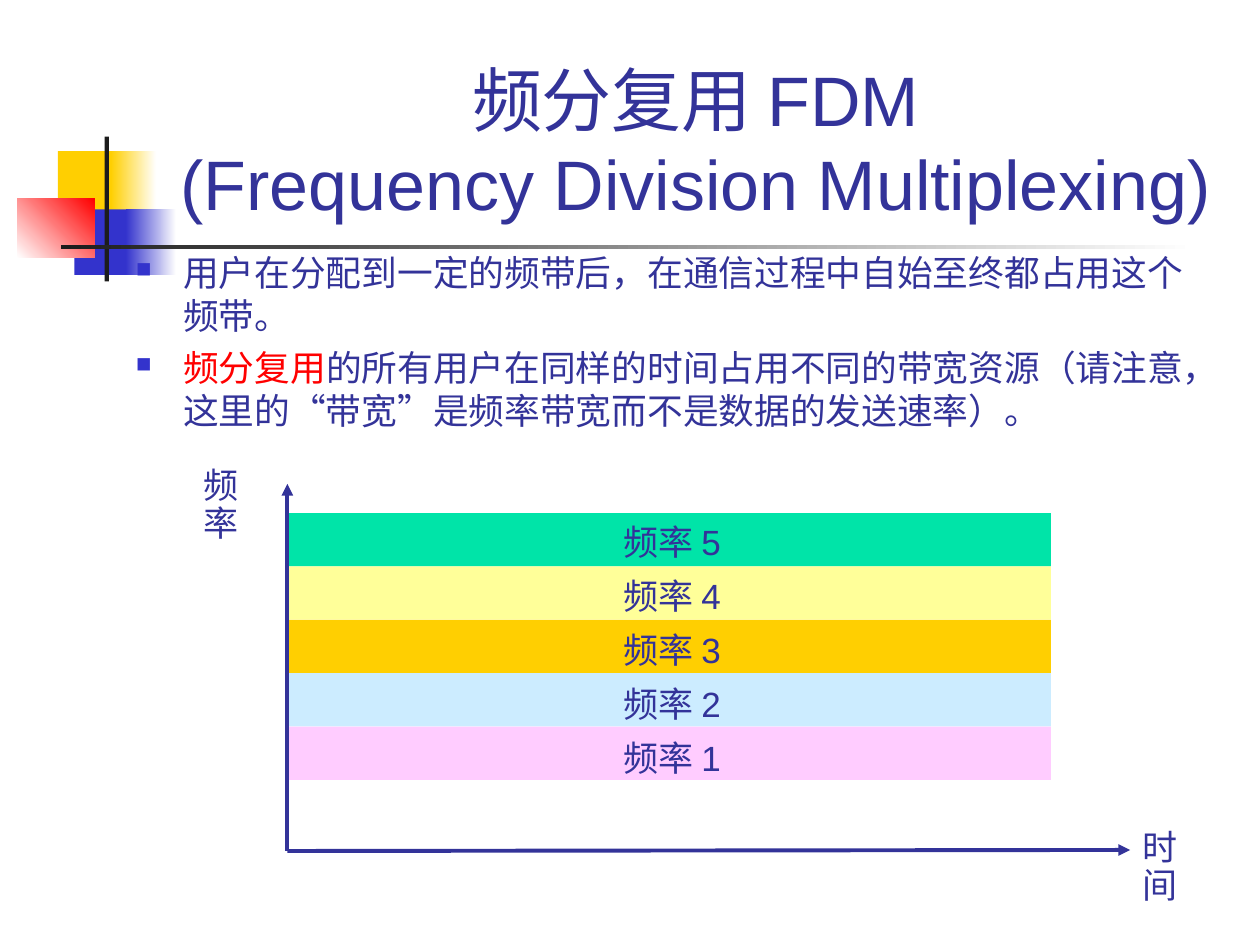
from typing import NamedTuple, Optional

from lxml import etree
from pptx import Presentation
from pptx.dml.color import RGBColor
from pptx.enum.shapes import MSO_CONNECTOR, MSO_SHAPE
from pptx.enum.text import MSO_ANCHOR, PP_ALIGN
from pptx.oxml.ns import qn
from pptx.util import Pt

RECTANGLE = MSO_SHAPE.RECTANGLE
STRAIGHT = MSO_CONNECTOR.STRAIGHT
BOTTOM = MSO_ANCHOR.BOTTOM
CENTER = PP_ALIGN.CENTER

COLORS = {
    "text": "333399",
    "highlight": "FF0000",
    "gold": "FFCF01",
    "blue": "3333CC",
    "black": "1C1C1C",
    "white": "FFFFFF",
    "green": "00E4A8",
    "yellow": "FFFF99",
    "sky": "CCECFF",
    "pink": "FFCCFF",
}


class Block(NamedTuple):
    left: float
    top: float
    width: float
    height: float
    color: str
    fade_to: Optional[str] = None
    angle: float = 0


class Label(NamedTuple):
    text: str
    left: float
    top: float
    width: float
    font: str


class Axis(NamedTuple):
    start: tuple[float, float]
    end: tuple[float, float]


def rgb(name: str) -> RGBColor:
    return RGBColor.from_string(COLORS[name])


def draw_block(slide, block: Block) -> None:
    shape = slide.shapes.add_shape(
        RECTANGLE, Pt(block.left), Pt(block.top), Pt(block.width), Pt(block.height)
    )
    shape.shadow.inherit = False
    shape.line.fill.background()
    if block.fade_to is None:
        shape.fill.solid()
        shape.fill.fore_color.rgb = rgb(block.color)
        return
    shape.fill.gradient()
    shape.fill.gradient_angle = block.angle
    for stop, color in zip(shape.fill.gradient_stops, (block.color, block.fade_to)):
        stop.color.rgb = rgb(color)


def add_frame(slide, left: float, top: float, width: float, height: float, wrap: bool):
    box = slide.shapes.add_textbox(Pt(left), Pt(top), Pt(width), Pt(height))
    box.text_frame.word_wrap = wrap
    return box.text_frame


def style(paragraph, size: float, font: str) -> None:
    paragraph.font.size = Pt(size)
    paragraph.font.name = font
    paragraph.font.color.rgb = rgb("text")


def draw_label(slide, label: Label) -> None:
    frame = add_frame(slide, label.left, label.top, label.width, 28.8, False)
    paragraph = frame.paragraphs[0]
    paragraph.text = label.text
    paragraph.line_spacing = 0.9
    style(paragraph, 20, label.font)


def draw_axis(slide, axis: Axis) -> None:
    line = slide.shapes.add_connector(
        STRAIGHT, *(Pt(value) for value in axis.start + axis.end)
    )
    line.line.color.rgb = rgb("text")
    line.line.width = Pt(2.25)
    etree.SubElement(line.line._get_or_add_ln(), qn("a:tailEnd"), type="triangle")
    etree.SubElement(line._element.spPr, qn("a:effectLst"))


def add_bullet(paragraph) -> None:
    properties = paragraph._p.get_or_add_pPr()
    properties.set("marL", str(Pt(27)))
    properties.set("indent", str(Pt(-27)))
    bullet_color = etree.SubElement(properties, qn("a:buClr"))
    etree.SubElement(bullet_color, qn("a:srgbClr"), val=COLORS["blue"])
    etree.SubElement(properties, qn("a:buSzPct"), val="60000")
    etree.SubElement(properties, qn("a:buChar"), char="■")


def draw_title(slide) -> None:
    frame = add_frame(slide, 90.7, 16.6, 613.4, 115.2, True)
    frame.vertical_anchor = BOTTOM
    title = frame.paragraphs[0]
    title.text = "频分复用 FDM\v(Frequency Division Multiplexing)"
    title.alignment = CENTER
    style(title, 40, "Arial")


def draw_points(slide) -> None:
    frame = add_frame(slide, 70.6, 139.7, 623.5, 141.8, True)
    for index, (highlight, statement) in enumerate(POINTS):
        paragraph = frame.add_paragraph() if index else frame.paragraphs[0]
        paragraph.space_before = Pt(5.5)
        add_bullet(paragraph)
        style(paragraph, 20.4, "Arial")
        if highlight:
            term = paragraph.add_run()
            term.text = highlight
            term.font.color.rgb = rgb("highlight")
        paragraph.add_run().text = statement


ORNAMENTS = [
    Block(33.1, 86.4, 34.6, 37.4, "gold"),
    Block(63.4, 86.4, 25.9, 37.4, "gold", "white"),
    Block(42.5, 119.7, 33.1, 37.4, "blue"),
    Block(72, 119.7, 28.8, 37.4, "blue", "white"),
    Block(9.9, 113.6, 44.2, 33.6, "white", "highlight", 45),
    Block(59.8, 78, 2.4, 82.8, "black"),
    Block(34.8, 140, 648, 2.6, "black", "white"),
]
POINTS = [
    ("", "用户在分配到一定的频带后，在通信过程中自始至终都占用这个频带。"),
    (
        "频分复用",
        "的所有用户在同样的时间占用不同的带宽资源"
        "（请注意，这里的“带宽”是频率带宽而不是数据的发送速率）。",
    ),
]
BANDS = ["green", "yellow", "gold", "sky", "pink"]
BAND_PITCH = 30.5
LABEL_PITCH = 30.8
ORIGIN = (164.2, 486.3)
AXIS_LABELS = [
    Label("频率", 109.4, 264.2, 54, "Times New Roman"),
    Label("时间", 645.8, 470.9, 54, "Times New Roman"),
]
AXES = [Axis(ORIGIN, (645.8, 485.7)), Axis(ORIGIN, (164.2, 276.5))]


def main() -> None:
    presentation = Presentation()
    presentation.slide_width = Pt(720)
    presentation.slide_height = Pt(540)
    slide = presentation.slides.add_slide(presentation.slide_layouts[6])
    for ornament in ORNAMENTS:
        draw_block(slide, ornament)
    draw_title(slide)
    draw_points(slide)
    for row, color in enumerate(BANDS):
        draw_block(slide, Block(164.2, 293.2 + row * BAND_PITCH, 436.3, BAND_PITCH, color))
        number = len(BANDS) - row
        draw_label(
            slide, Label(f"频率 {number}", 349.2, 296.6 + row * LABEL_PITCH, 74.9, "Arial")
        )
    for label in AXIS_LABELS:
        draw_label(slide, label)
    for axis in AXES:
        draw_axis(slide, axis)
    presentation.save("out.pptx")


if __name__ == "__main__":
    main()
